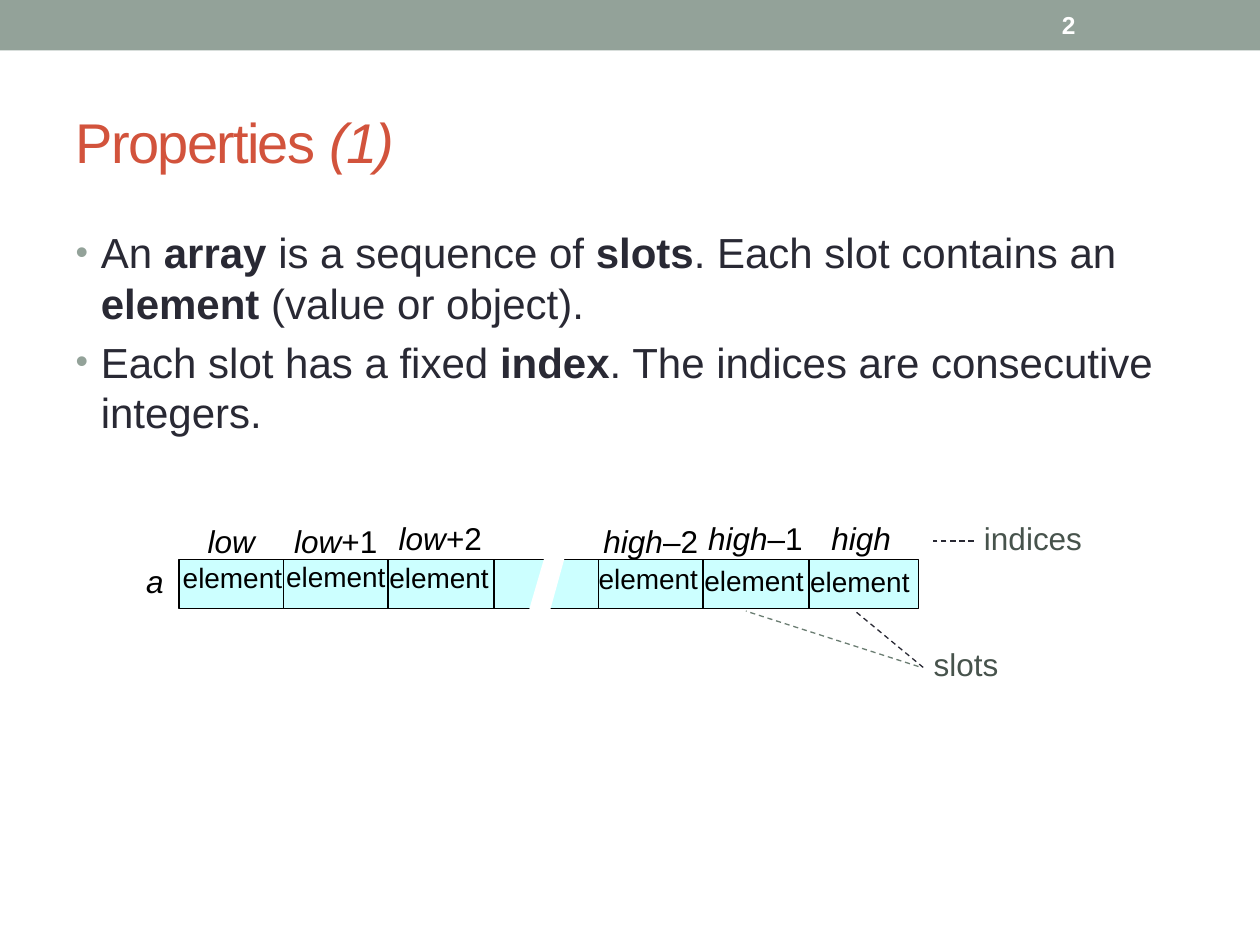
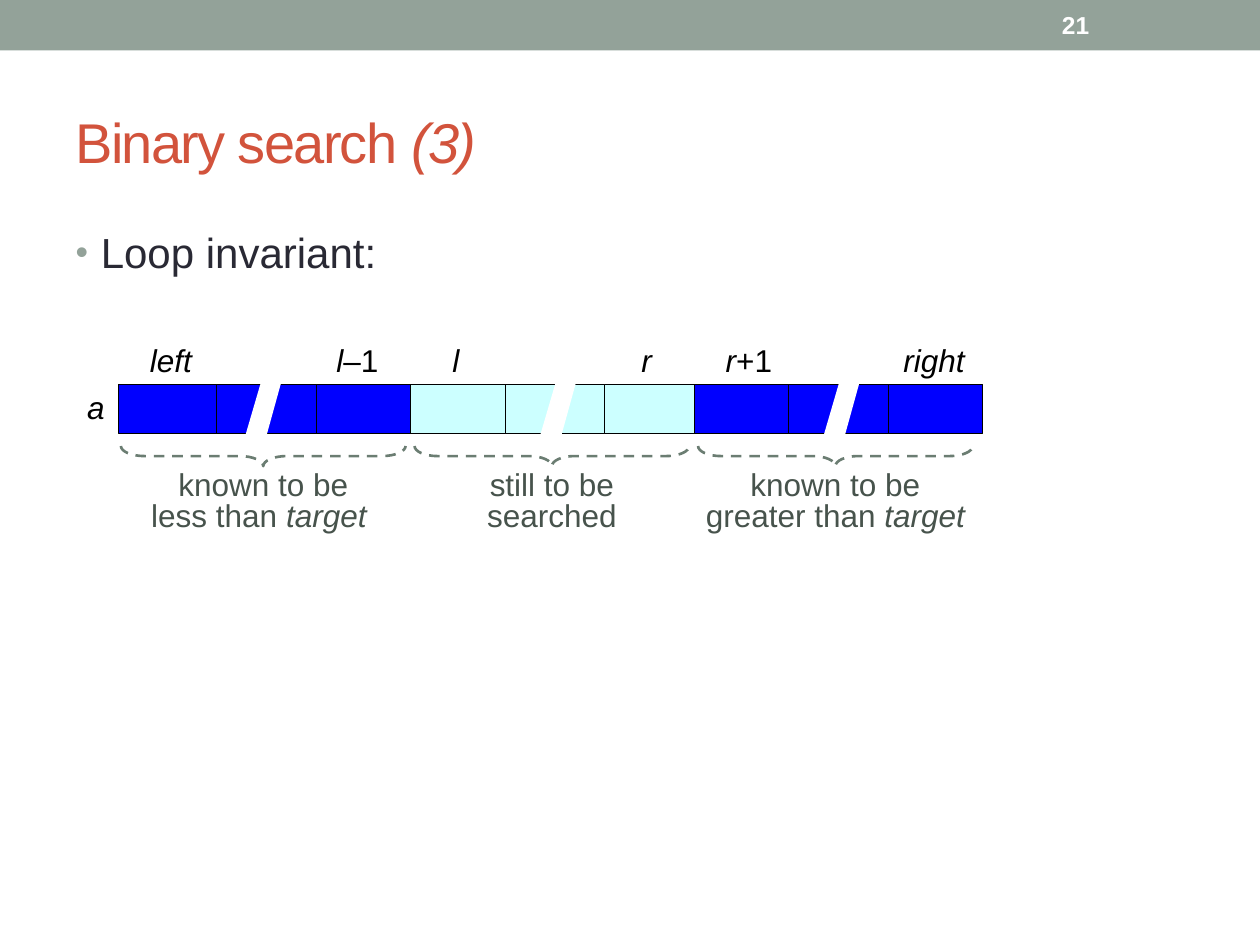
from math import cos, sin, pi
from lxml.etree import SubElement
from pptx import Presentation
from pptx.dml.color import RGBColor
from pptx.enum.dml import MSO_LINE
from pptx.enum.shapes import MSO_CONNECTOR, MSO_SHAPE
from pptx.enum.text import MSO_ANCHOR, MSO_AUTO_SIZE, PP_ALIGN
from pptx.oxml.ns import qn
from pptx.util import Pt

px = 9144
color = RGBColor.from_string
SAGE, RUST, INK, MOSS, GREY = "93A299", "D2533C", "292934", "47534C", "6B7D72"
BLACK, WHITE, AQUA, BLUE = "000000", "FFFFFF", "CCFFFF", "0000FF"
LEFT, MID, RIGHT = PP_ALIGN.LEFT, PP_ALIGN.CENTER, PP_ALIGN.RIGHT


def write(para, text, size, hue, align=LEFT, mark="italic"):
    first, *rest = text.split("*")
    para.text = first
    for i, part in enumerate(rest):
        if part:
            run = para.add_run()
            run.text = part
            setattr(run.font, mark, i % 2 == 0)
    para.alignment = align
    for run in para.runs:
        run.font.name, run.font.size = "Arial", Pt(size)
        run.font.color.rgb = color(hue)


def label(slide, spot, text, size=18, hue=BLACK, align=MID):
    box = slide.shapes.add_textbox(*[n * px for n in spot])
    frame = box.text_frame
    frame.margin_left = frame.margin_right = frame.margin_top = frame.margin_bottom = 0
    frame.word_wrap = True
    frame.auto_size = MSO_AUTO_SIZE.SHAPE_TO_FIT_TEXT
    write(frame.paragraphs[0], text, size, hue, align)
    return frame


steps = [round((17 + 10 * i) * 25 / 3) for i in range(7)]
pages = [
    dict(
        title="Properties *(1)*", number="2",
        points=["An *array* is a sequence of *slots*. Each slot contains an *element* (value or object).",
                "Each slot has a fixed *index*. The indices are consecutive integers."],
        top=444, wide=87, cells=[(x, AQUA) for x in steps], cuts=[417],
    ),
    dict(
        title="Binary search *(3)*", number="21", points=["Loop invariant:"],
        top=305, wide=79,
        cells=[(x, AQUA if 326 <= x < 551 else BLUE)
               for x in (251, 326, 476, 551, 701, 94, 172, 401, 626)],
        cuts=[192, 426, 651],
    ),
]

deck = Presentation()
deck.slide_width, deck.slide_height = 1000 * px, 750 * px
master = deck.slide_master
for holder, top, high in zip(master.placeholders, (58, 175), (108, 533)):
    holder.left, holder.top = 50 * px, top * px
    holder.width, holder.height = 900 * px, high * px
slides = [deck.slides.add_slide(deck.slide_layouts[1]) for page in pages]

band = slides[0].shapes.add_shape(MSO_SHAPE.RECTANGLE, 0, 0, 1000 * px, 40 * px)
band.shadow.inherit = False
band.fill.solid()
band.fill.fore_color.rgb = color(SAGE)
band.line.fill.background()
master.shapes.element.insert(2, band.element)

for slide, page in zip(slides, pages):
    title, body = slide.placeholders
    title.text_frame.vertical_anchor = MSO_ANCHOR.MIDDLE
    para = title.text_frame.paragraphs[0]
    write(para, page["title"], 32, RUST)
    for run in para.runs:
        run.font._element.set("spc", "-100")

    for i, point in enumerate(page["points"]):
        para = body.text_frame.add_paragraph() if i else body.text_frame.paragraphs[0]
        write(para, point, 24, INK, mark="bold")
        para.space_before = Pt(4.8 if i else 0)
        props = para._p.get_or_add_pPr()
        props.set("marL", str(20 * px))
        props.set("indent", str(-20 * px))
        SubElement(SubElement(props, qn("a:buClr")), qn("a:srgbClr"), val=SAGE)
        SubElement(props, qn("a:buSzPct"), val="85000")
        SubElement(props, qn("a:buFont"), typeface="Arial")
        SubElement(props, qn("a:buChar"), char="•")

    for x, hue in page["cells"]:
        cell = slide.shapes.add_shape(
            MSO_SHAPE.RECTANGLE, x * px, page["top"] * px, page["wide"] * px, 39 * px)
        cell.shadow.inherit = False
        cell.fill.solid()
        cell.fill.fore_color.rgb = color(hue)
        cell.line.color.rgb = color(BLACK)
        cell.line.width = Pt(0.75)

    for x in page["cuts"]:
        y = page["top"] - 8
        pen = slide.shapes.build_freeform((x + 17) * px, y * px)
        pen.add_line_segments([((x + 33) * px, y * px), ((x + 17) * px, (y + 58) * px),
                               (x * px, (y + 58) * px)])
        cut = pen.convert_to_shape()
        cut.shadow.inherit = False
        cut.fill.solid()
        cut.fill.fore_color.rgb = color(WHITE)
        cut.line.fill.background()

    box = slide.shapes.add_textbox(833 * px, 2 * px, 117 * px, 36 * px)
    box.text_frame.word_wrap = True
    box.text_frame.vertical_anchor = MSO_ANCHOR.MIDDLE
    write(box.text_frame.paragraphs[0], f"*{page['number']}*", 14, WHITE, mark="bold")

array, search = slides

label(array, (116, 446, 22, 30), "*a*", align=LEFT)
heads = ["*low*", "*low*+1", "*low*+2", "", "*high*–2", "*high*–1", "*high*"]
tops = [414, 414, 412, 0, 414, 412, 412]
spots = [(143, 445), (225, 444), (307, 445), None, (473, 446), (557, 447), (641, 448)]
for x, head, top, spot in zip(steps, heads, tops, spots):
    if head:
        label(array, (x, top, 83, 30), head)
        label(array, (*spot, 83, 27), "element", 16)

for x, y, high, text, bends in [
    (781, 417, 23, "indices", (0.54, -0.1, 0.54, -0.49)),
    (741, 517, 24, "slots", (0.53, -0.1, -1.33, -0.75)),
]:
    note = array.shapes.add_shape(
        MSO_SHAPE.LINE_CALLOUT_1_NO_BORDER, x * px, y * px, 83 * px, high * px)
    note.shadow.inherit = False
    for i, bend in enumerate(bends):
        note.adjustments[i] = bend
    note.fill.background()
    note.line.color.rgb = color(INK)
    note.line.width = Pt(0.75)
    note.line.dash_style = MSO_LINE.DASH
    frame = note.text_frame
    frame.margin_left = frame.margin_right = frame.margin_top = frame.margin_bottom = 0
    frame.vertical_anchor = MSO_ANCHOR.TOP
    write(frame.paragraphs[0], text, 18, MOSS)
    frame.paragraphs[0].line_spacing = Pt(18)

link = array.shapes.add_connector(
    MSO_CONNECTOR.STRAIGHT, 729 * px, 529 * px, 592 * px, 485 * px)
SubElement(link._element.spPr, qn("a:effectLst"))
link.line.color.rgb = color(GREY)
link.line.width = Pt(0.75)
link.line.dash_style = MSO_LINE.DASH

label(search, (61, 308, 22, 30), "*a*", align=RIGHT)
for x, text in [(119, "*left*"), (267, "*l*–1"), (359, "*l*"),
                (509, "*r*"), (576, "*r*+1"), (717, "*right*")]:
    label(search, (x, 271, 60, 30), text, align=LEFT)

turns = [k * pi / 16 for k in range(9)]
for x, wide, text in [(96, 226, "known to be\vless than *target *"),
                      (329, 218, "still to be searched"),
                      (554, 218, "known to be\vgreater than *target *")]:
    bow = wide / 12
    half = [(bow * (1 - cos(t)), 8 * sin(t)) for t in turns]
    half += [(wide / 2 - bow * (1 - sin(t)), 16 - 8 * cos(t)) for t in turns]
    dots = half + [(wide - a, b) for a, b in reversed(half[:-1])]
    dots = [((x + a) * px, (354 + b) * px) for a, b in dots]
    pen = search.shapes.build_freeform(*dots[0])
    pen.add_line_segments(dots[1:], close=False)
    brace = pen.convert_to_shape()
    brace.shadow.inherit = False
    brace.fill.background()
    brace.line.color.rgb = color(GREY)
    brace.line.width = Pt(1.5)
    brace.line.dash_style = MSO_LINE.DASH
    frame = label(search, (x + 5, 374, wide - 10, 50), text, hue=MOSS)
    frame.paragraphs[0].line_spacing = Pt(18)

deck.save("out.pptx")
